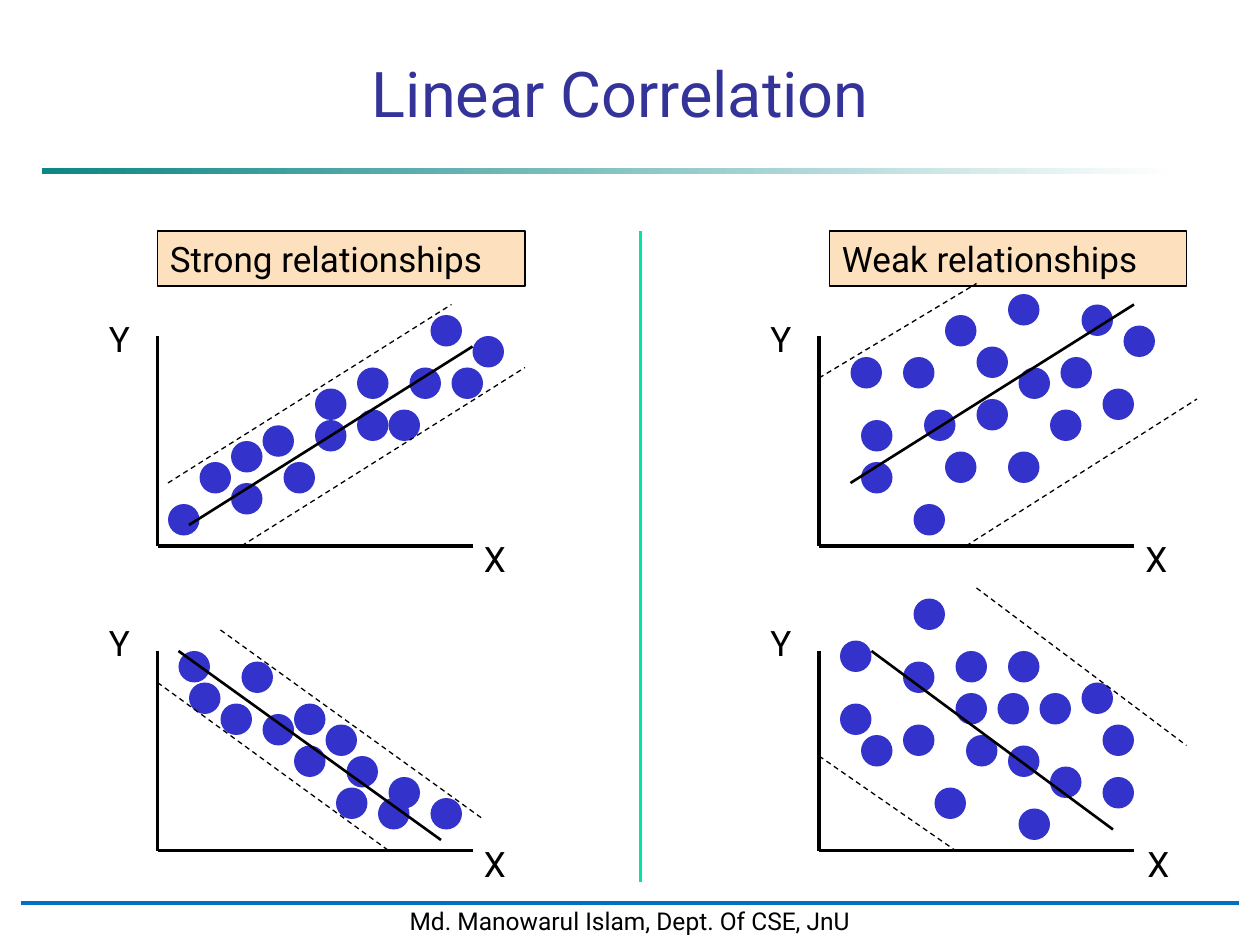
from collections import namedtuple

from lxml import etree
from pptx import Presentation
from pptx import util as u
from pptx.dml.color import RGBColor
from pptx.enum import dml, shapes, text
from pptx.oxml import ns

COLORS = {
    "title": "333399", "dot": "3333CC", "ink": "000000", "paper": "FFFFFF",
    "label": "FDE0BD", "divider": "00E4A8", "footer": "0070C0", "bar": "0D8686",
}
COLUMNS, ROWS = 120, 90
DOT = 3

Plot = namedtuple("Plot", "left top bottom x_label dots bounds trend")

PLOTS = [
    Plot(15, 32, 52, 44.9,
         [(16, 48), (19, 44), (41, 30), (43, 35), (22, 46), (45, 32), (34, 39), (34, 35),
          (39, 35), (30, 37), (22, 42), (25, 40.5), (37, 39), (30, 40), (27, 44)],
         [(16, 46, 43, 29), (23, 52, 50, 35)], (18, 50, 45, 33)),
    Plot(15, 62, 81, 44.9,
         [(36, 76), (18, 65), (41, 76), (23, 63), (33, 72), (37, 74), (28, 67), (17, 62),
          (21, 67), (25, 68), (32, 75), (31, 69), (28, 71)],
         [(21, 60, 46, 78), (15, 65, 37, 81)], (17, 62, 42, 80)),
    Plot(78, 32, 52, 107.9,
         [(93, 33), (82, 44), (96, 43), (101, 34), (86, 34), (87, 48), (90, 43), (97, 35),
          (90, 30), (82, 40), (81, 34), (88, 39), (100, 39), (93, 38), (96, 28), (107, 31),
          (105, 37), (103, 29)],
         [(78, 36, 93, 27), (92, 52, 114, 38)], (81, 46, 108, 29)),
    Plot(78, 62, 81, 108.1,
         [(80, 67), (80, 61), (86, 69), (97, 77), (82, 70), (91, 62), (96, 71), (95, 66),
          (91, 66), (86, 63), (99, 66), (92, 70), (89, 75), (100, 73), (105, 69), (103, 65),
          (105, 74), (96, 62), (87, 57)],
         [(93, 56, 113, 71), (78, 72, 91, 81)], (83, 62, 106, 79)),
]


class SlideBuilder:
    """Holds the style and the current slide, measured in grid columns and rows."""

    def __init__(self, presentation, font="Roboto"):
        self.font = font
        self.column = presentation.slide_width / COLUMNS
        self.row = presentation.slide_height / ROWS
        self.slide = presentation.slides.add_slide(presentation.slide_layouts[5])

    def color(self, name):
        return RGBColor.from_string(COLORS[name])

    def place(self, left, top, width, height):
        return (round(left * self.column), round(top * self.row),
                round(width * self.column), round(height * self.row))

    def add_words(self, shape, words, size, color="ink", align=text.PP_ALIGN.LEFT,
                  anchor=text.MSO_ANCHOR.TOP, wrap=True):
        frame = shape.text_frame
        frame.word_wrap = wrap
        frame.auto_size = text.MSO_AUTO_SIZE.NONE
        frame.vertical_anchor = anchor
        paragraph = frame.paragraphs[0]
        paragraph.alignment = align
        run = paragraph.add_run()
        run.text = words
        run.font.name = self.font
        run.font.size = u.Pt(size)
        run.font.color.rgb = self.color(color)

    def title(self, words, *box):
        shape = self.slide.shapes.title
        shape.left, shape.top, shape.width, shape.height = self.place(*box)
        self.add_words(shape, words, 36, "title", text.PP_ALIGN.CENTER,
                       text.MSO_ANCHOR.BOTTOM)

    def shape(self, kind, fill, *box, line=None, weight=1):
        shape = self.slide.shapes.add_shape(kind, *self.place(*box))
        shape.shadow.inherit = False
        shape.fill.solid()
        shape.fill.fore_color.rgb = self.color(fill)
        if line:
            shape.line.color.rgb = self.color(line)
            shape.line.width = u.Pt(weight)
        else:
            shape.line.fill.background()
        return shape

    def rectangle(self, fill, *box, **outline):
        return self.shape(shapes.MSO_SHAPE.RECTANGLE, fill, *box, **outline)

    def gradient_bar(self, start, end, *box):
        fill = self.rectangle(start, *box).fill
        fill.gradient()
        fill.gradient_angle = 0
        for stop, name in zip(fill.gradient_stops, (start, end)):
            stop.color.rgb = self.color(name)

    def heading(self, words, left, width):
        box = self.rectangle("label", left, 22, width, 5.25, line="ink")
        self.add_words(box, words, 20)

    def letter(self, words, left, top):
        box = self.slide.shapes.add_textbox(*self.place(left, top, 4.3, 5.25))
        self.add_words(box, words, 20, wrap=False)

    def line(self, x1, y1, x2, y2, weight, color="ink", dashed=False):
        start, end = self.place(x1, y1, 0, 0)[:2], self.place(x2, y2, 0, 0)[:2]
        connector = self.slide.shapes.add_connector(
            shapes.MSO_CONNECTOR.STRAIGHT, *start, *end)
        connector.line.color.rgb = self.color(color)
        connector.line.width = u.Pt(weight)
        if dashed:
            connector.line.dash_style = dml.MSO_LINE.DASH
        etree.SubElement(connector._element.spPr, ns.qn("a:effectLst"))

    def scatter(self, plot):
        self.line(plot.left, plot.top, plot.left, plot.bottom, 2)
        self.line(plot.left, plot.bottom, plot.left + 30, plot.bottom, 2)
        for left, top in plot.dots:
            self.shape(shapes.MSO_SHAPE.OVAL, "dot", left, top, DOT, DOT)
        for bound in plot.bounds:
            self.line(*bound, 0.75, dashed=True)
        self.line(*plot.trend, 1.5)
        self.letter("Y", plot.left - 5.8, 29.6 if plot.top == 32 else 58.6)
        self.letter("X", plot.x_label, plot.bottom - 1.4)

    def footer(self, words):
        box = self.rectangle("paper", 2, 85.7, 116, 4, line="paper", weight=2)
        self.add_words(box, words, 14, align=text.PP_ALIGN.CENTER, wrap=False)
        self.line(2, 86, 118, 86, 1.75, "footer")


def main():
    presentation = Presentation()
    presentation.slide_width, presentation.slide_height = u.Inches(10), u.Inches(7.5)
    builder = SlideBuilder(presentation)
    builder.title("Linear Correlation", 8, 5, 102.2, 8)
    builder.gradient_bar("bar", "paper", 4, 16, 108, 0.6)
    builder.footer("Md. Manowarul Islam, Dept. Of CSE, JnU")
    builder.heading("Strong relationships", 15, 35)
    builder.heading("Weak relationships", 79, 34)
    builder.line(61, 22, 61, 84, 2.25, "divider")
    for plot in PLOTS:
        builder.scatter(plot)
    presentation.save("out.pptx")


if __name__ == "__main__":
    main()
